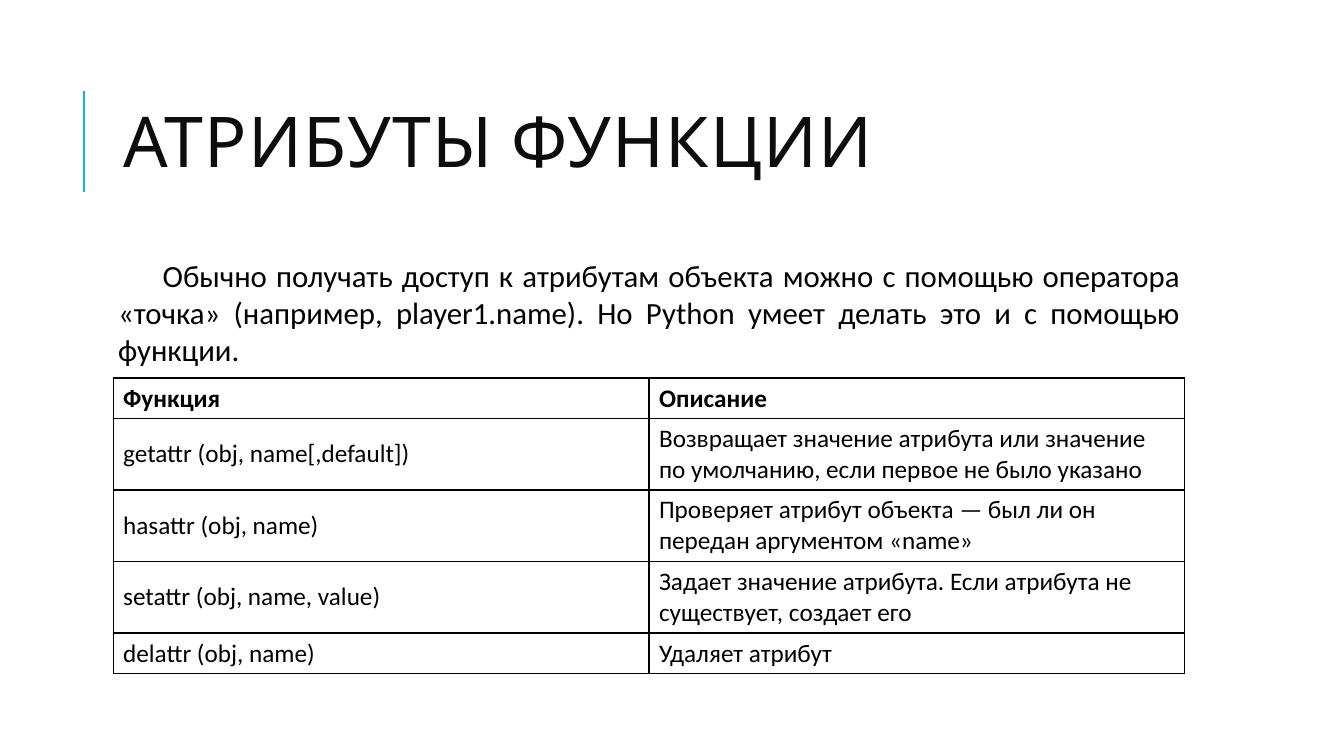
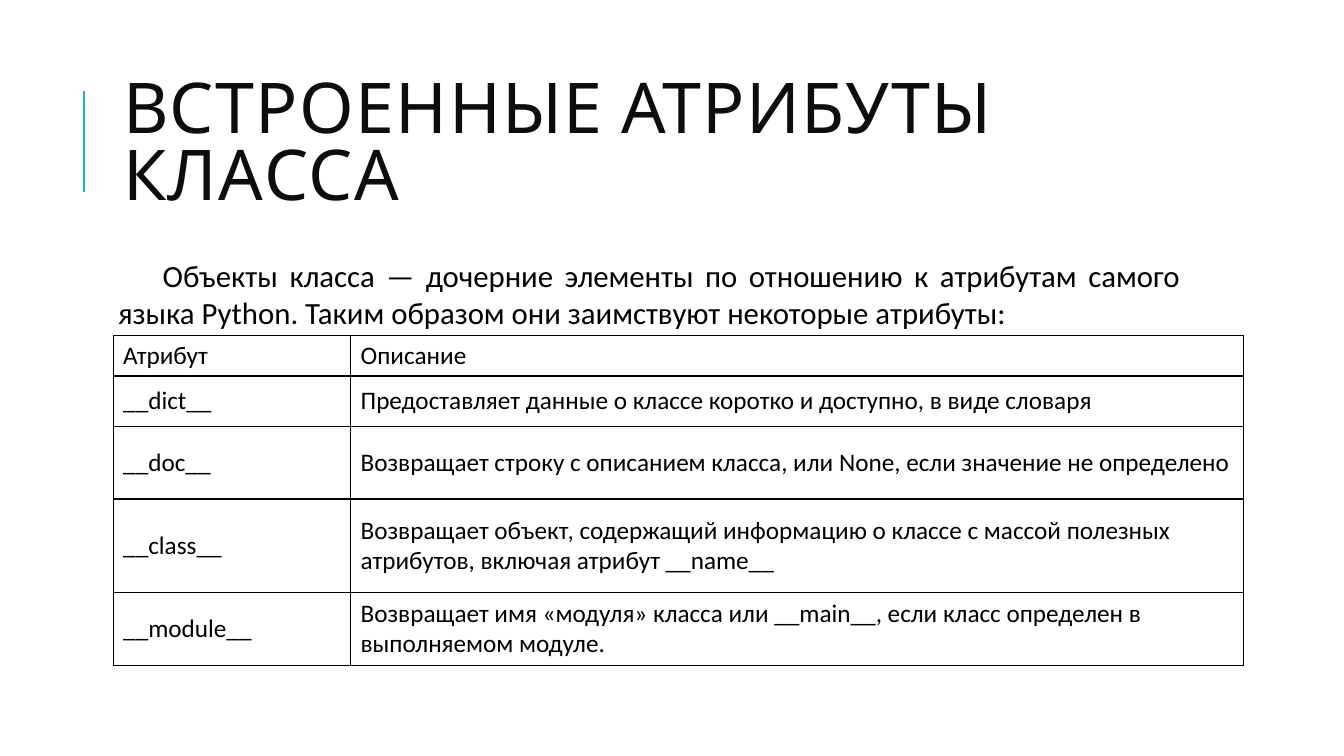
from dataclasses import dataclass
from pptx import Presentation
from pptx.dml.color import RGBColor as Rgb
from pptx.enum.shapes import MSO_CONNECTOR as Conn
from pptx.enum.text import MSO_ANCHOR as Anchor, PP_ALIGN as Align
from pptx.oxml.ns import qn
from pptx.util import Inches, Pt
from lxml.etree import SubElement as Sub


@dataclass(frozen=True)
class Theme:
    ink: str = "000000"
    dark: str = "0D0D0D"
    blue: str = "1CADE4"
    head: str = "Cabin"
    body: str = "Calibri"
    big: int = 50
    mid: int = 22
    small: int = 18
    rule: float = 1.5
    edge: float = 1


def put(item, **form):
    for key, val in form.items():
        setattr(item, key, val)


class Deck:
    cols, rows = 12, 15
    left, wide = 1.01, 9.57

    def __init__(self, theme):
        self.look = theme
        self.file = Presentation()
        put(self.file, slide_width=Inches(13.33), slide_height=Inches(7.5))

    def x(self, n):
        return round(self.file.slide_width * n / self.cols)

    def y(self, n):
        return round(self.file.slide_height * n / self.rows)

    def page(self, title):
        self.slide = self.file.slides.add_slide(self.file.slide_layouts[6])
        self.bar()
        self.title(title)

    def bar(self):
        line = self.slide.shapes.add_connector(
            Conn.STRAIGHT, self.x(0.75), self.y(3.8), self.x(0.75), self.y(1.8))
        line.line.color.rgb = Rgb.from_string(self.look.blue)
        line.line.width = Pt(self.look.rule)
        Sub(line._element.spPr, qn("a:effectLst"))

    def font(self, item, name, size, tint, bold=False):
        put(item.font, name=name, size=Pt(size), bold=bold)
        item.font.color.rgb = Rgb.from_string(tint)

    def box(self, top, high, **form):
        text = self.slide.shapes.add_textbox(
            self.x(self.left), self.y(top), self.x(self.wide), self.y(high)).text_frame
        put(text, word_wrap=True, **form)
        return text.paragraphs[0]

    def title(self, words):
        para = self.box(1.28, 3.28, vertical_anchor=Anchor.MIDDLE)
        para.line_spacing = 0.8
        run = para.add_run()
        run.text = words
        self.font(run, self.look.head, self.look.big, self.look.dark)
        run.font._element.set("spc", "100")

    def lead(self, words):
        pad = Inches(0.05)
        para = self.box(5, 8.8, margin_left=pad, margin_right=pad,
                        margin_top=pad, margin_bottom=pad)
        para.alignment = Align.JUSTIFY
        form = para._p.get_or_add_pPr()
        form.set("marL", "0")
        form.set("indent", str(Inches(0.29)))
        tint = Sub(form, qn("a:buClr"))
        Sub(tint, qn("a:srgbClr"), val=self.look.blue)
        Sub(form, qn("a:buChar"), char=" ")
        run = para.add_run()
        run.text = words
        self.font(run, self.look.body, self.look.mid, self.look.ink)

    def edges(self, cell):
        form = cell._tc.get_or_add_tcPr()
        for spot, side in enumerate(("lnL", "lnR", "lnT", "lnB")):
            line = Sub(form, qn("a:" + side), w=str(Pt(self.look.edge)))
            Sub(Sub(line, qn("a:solidFill")), qn("a:srgbClr"), val=self.look.ink)
            form.insert(spot, line)

    def table(self, top, wides, highs, data, bold=False):
        grid = self.slide.shapes.add_table(
            len(data), len(wides), self.x(self.left), self.y(top),
            self.x(sum(wides)), self.y(sum(highs))).table
        put(grid, first_row=False, horz_banding=False)
        for col, wide in zip(grid.columns, wides):
            col.width = self.x(wide)
        for row, high, words in zip(grid.rows, highs, data):
            row.height = self.y(high)
            for cell, word in zip(row.cells, words):
                put(cell, text=word, vertical_anchor=Anchor.MIDDLE)
                cell.fill.background()
                self.edges(cell)
                self.font(cell.text_frame.paragraphs[0].runs[0], self.look.body,
                          self.look.small, self.look.ink, bold and words is data[0])


def main():
    deck = Deck(Theme())

    deck.page("АТРИБУТЫ ФУНКЦИИ")
    deck.lead("Обычно получать доступ к атрибутам объекта можно с помощью оператора "
              "«точка» (например, player1.name). Но Python умеет делать это и с помощью функции.")
    deck.table(7.5, [deck.wide / 2] * 2, [0.8, 1.42, 1.42, 1.42, 0.8], [
        ("Функция", "Описание"),
        ("getattr (obj, name[,default])",
         "Возвращает значение атрибута или значение по умолчанию, если первое не было указано"),
        ("hasattr (obj, name)", "Проверяет атрибут объекта — был ли он передан аргументом «name»"),
        ("setattr (obj, name, value)",
         "Задает значение атрибута. Если атрибута не существует, создает его"),
        ("delattr (obj, name)", "Удаляет атрибут"),
    ], bold=True)

    deck.page("ВСТРОЕННЫЕ АТРИБУТЫ КЛАССА")
    deck.lead("Объекты класса — дочерние элементы по отношению к атрибутам самого языка Python. "
              "Таким образом они заимствуют некоторые атрибуты:")
    deck.table(6.66, [2.12, 7.97], [0.8, 1, 1.44, 1.86, 1.44], [
        ("Атрибут", "Описание"),
        ("__dict__", "Предоставляет данные о классе коротко и доступно, в виде словаря"),
        ("__doc__", "Возвращает строку с описанием класса, или None, если значение не определено"),
        ("__class__", "Возвращает объект, содержащий информацию о классе с массой полезных "
                      "атрибутов, включая атрибут __name__"),
        ("__module__", "Возвращает имя «модуля» класса или __main__, если класс определен "
                       "в выполняемом модуле."),
    ])

    deck.file.save("out.pptx")


if __name__ == "__main__":
    main()
